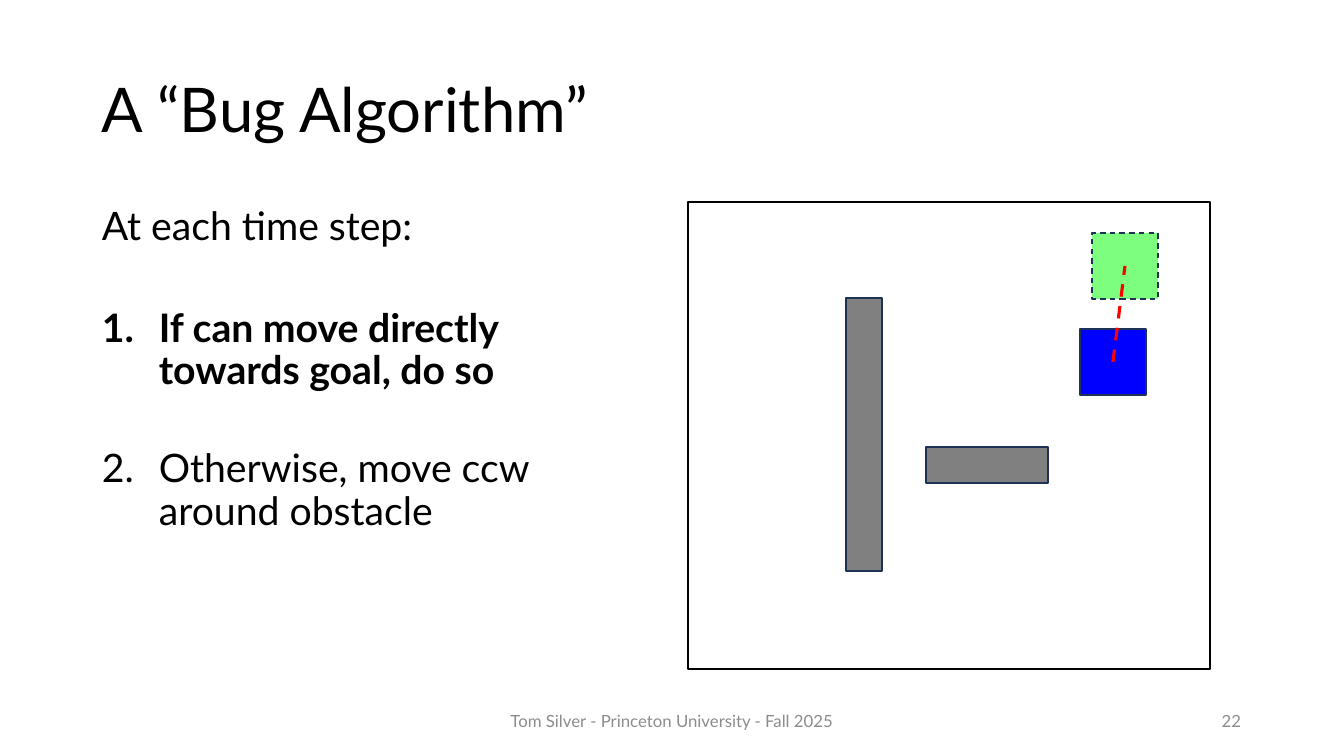
from dataclasses import dataclass

from pptx import Presentation
from pptx import util as u
from pptx.dml.color import RGBColor
from pptx.enum import dml, shapes, text
from pptx.oxml.ns import qn
from lxml import etree


@dataclass(frozen=True)
class Theme:
    """Colours, font and type sizes of the slide."""
    font: str = "Lato"
    ink: str = "000000"
    mute: str = "8C8C8C"
    edge: str = "1E3256"
    wall: str = "808080"
    robot: str = "0000FF"
    goal: str = "7EFE7E"
    route: str = "FF0000"
    title: int = 44
    body: int = 28
    foot: int = 12


T = Theme()
SCALE = 12192000 / 1344
DASH = dml.MSO_LINE.DASH
ALIGN = text.PP_ALIGN
ANCHOR = text.MSO_ANCHOR


def px(*vals):
    """Turn pixel lengths into EMU."""
    return [u.Emu(round(val * SCALE)) for val in vals]


def pen(line, color, width, dash=None):
    """Set the stroke of a line."""
    line.color.rgb = RGBColor.from_string(color)
    line.width = u.Pt(width)
    if dash:
        line.dash_style = dash


def number(para, indent):
    """Give a paragraph an automatic number with a hanging indent."""
    props = para._p.get_or_add_pPr()
    hang = px(indent)[0]
    props.set("marL", str(hang))
    props.set("indent", str(-hang))
    font = etree.SubElement(props, qn("a:buFont"))
    font.set("typeface", "+mj-lt")
    etree.SubElement(props, qn("a:buAutoNum")).set("type", "arabicPeriod")


def write(frame, words, size=T.body, color=T.ink, bold=False, align=ALIGN.LEFT,
          before=0, lead=1.0, indent=0, first=False):
    """Write one formatted paragraph into a text frame."""
    para = frame.paragraphs[0] if first else frame.add_paragraph()
    para.alignment = align
    para.line_spacing = lead
    if before:
        para.space_before = u.Pt(before)
    if indent:
        number(para, indent)
    run = para.add_run()
    run.text = words
    for font in (para.font, run.font):
        font.name, font.size, font.bold = T.font, u.Pt(size), bold
        font.color.rgb = RGBColor.from_string(color)


def box(slide, area, anchor=ANCHOR.MIDDLE):
    """Add a wrapping text box and return its frame."""
    frame = slide.shapes.add_textbox(*px(*area)).text_frame
    frame.word_wrap = True
    frame.vertical_anchor = anchor
    return frame


def block(slide, area, fill=None, edge=T.edge, dash=None):
    """Add a rectangle with an optional fill."""
    rect = slide.shapes.add_shape(shapes.MSO_SHAPE.RECTANGLE, *px(*area))
    rect.shadow.inherit = False
    if fill:
        rect.fill.solid()
        rect.fill.fore_color.rgb = RGBColor.from_string(fill)
    else:
        rect.fill.background()
    pen(rect.line, edge, 1, dash)
    return rect


def link(slide, start, end):
    """Add a dashed route between two points."""
    line = slide.shapes.add_connector(
        shapes.MSO_CONNECTOR.STRAIGHT, *px(*start, *end))
    pen(line.line, T.route, 2.25, DASH)
    etree.SubElement(line._element.spPr, qn("a:effectLst"))


def steps(slide):
    """Write the algorithm's steps."""
    frame = box(slide, (92, 202, 531, 480), ANCHOR.TOP)
    write(frame, "At each time step:", lead=0.9, first=True)
    write(frame, "If can move directly towards goal, do so",
          bold=True, lead=0.9, before=42, indent=57)
    write(frame, "Otherwise, move ccw around obstacle",
          lead=0.9, before=40, indent=57)


def arena(slide):
    """Draw the room with robot, walls, goal and route."""
    side = 66
    robot, goal = (1080, 329), (1092, 233)
    block(slide, (688, 202, 522, 467), edge=T.ink)
    block(slide, (*robot, side, side), T.robot)
    for wall in ((846, 298, 36, 273), (926, 447, 122, 36)):
        block(slide, wall, T.wall)
    block(slide, (*goal, side, side), T.goal, dash=DASH)
    start, end = [[val + side // 2 for val in spot] for spot in (robot, goal)]
    link(slide, start, end)


def main():
    """Build and save the slide."""
    deck = Presentation()
    deck.slide_width, deck.slide_height = px(1344, 756)
    slide = deck.slides.add_slide(deck.slide_layouts[6])
    write(box(slide, (92, 40, 1159, 146)), "A “Bug Algorithm”",
          size=T.title, lead=0.9, first=True)
    steps(slide)
    feet = (((445, 701, 454, 40), "Tom Silver - Princeton University - Fall 2025",
             ALIGN.CENTER),
            ((949, 701, 302, 40), "22", ALIGN.RIGHT))
    for area, words, align in feet:
        write(box(slide, area), words, size=T.foot, color=T.mute,
              align=align, first=True)
    arena(slide)
    deck.save("out.pptx")


if __name__ == "__main__":
    main()
